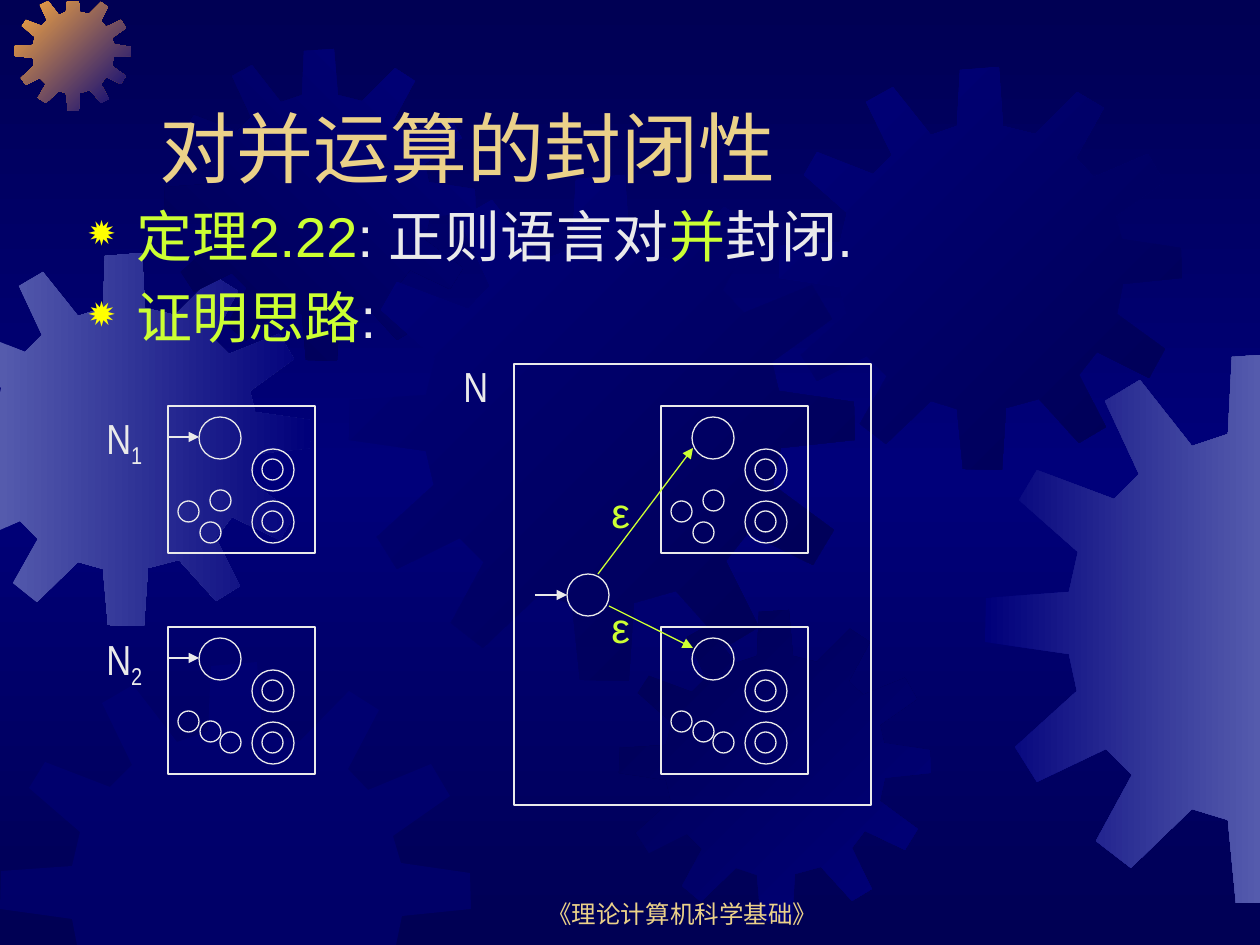
from copy import deepcopy
from dataclasses import dataclass

from lxml import etree
from pptx import Presentation
from pptx.dml.color import RGBColor
from pptx.enum.shapes import MSO_CONNECTOR, MSO_SHAPE
from pptx.enum.text import MSO_ANCHOR, PP_ALIGN
from pptx.oxml.ns import qn
from pptx.util import Emu, Pt

SCALE = 914400 / 126
RECTANGLE, ELLIPSE = MSO_SHAPE.RECTANGLE, MSO_SHAPE.OVAL
STRAIGHT = MSO_CONNECTOR.STRAIGHT
TOP, BOTTOM = MSO_ANCHOR.TOP, MSO_ANCHOR.BOTTOM
LEFT, CENTER = PP_ALIGN.LEFT, PP_ALIGN.CENTER


@dataclass(frozen=True)
class Theme:
    night: str = "000054"
    blue: str = "00007A"
    steel: str = "555BAD"
    orange: str = "FCAB40"
    gold: str = "EBD189"
    white: str = "EAEAEA"
    lime: str = "CCFF33"
    yellow: str = "FFFF00"
    font: str = "Arial"
    narrow: str = "Arial Narrow"
    title: int = 44
    body: int = 32
    label: int = 24
    footer: int = 14
    line: float = 0.75


theme = Theme()
rgb = RGBColor.from_string


def px(*values):
    """Turn px lengths into EMU."""
    return [Emu(round(value * SCALE)) for value in values]


def add_text(bounds, paragraphs, size, font=theme.font, anchor=TOP,
             align=LEFT, bullet=None, space=0):
    """Each paragraph is a list of (text, colour, baseline in percent)."""
    frame = page.shapes.add_textbox(*px(*bounds)).text_frame
    frame.word_wrap = True
    frame.vertical_anchor = anchor
    for index, spans in enumerate(paragraphs):
        para = frame.add_paragraph() if index else frame.paragraphs[0]
        para.alignment = align
        if bullet:
            props = para._p.get_or_add_pPr()
            props.set("marL", str(px(48)[0]))
            props.set("indent", str(px(-48)[0]))
            color = etree.SubElement(props, qn("a:buClr"))
            etree.SubElement(color, qn("a:srgbClr"), val=theme.yellow)
            etree.SubElement(props, qn("a:buSzPct"), val="80000")
            etree.SubElement(props, qn("a:buChar"), char=bullet)
        if index:
            para.space_before = Pt(space)
        for text, color, baseline in spans:
            span = para.add_run()
            span.text = text
            span.font.size = Pt(size)
            span.font.name = font
            span.font.color.rgb = rgb(color)
            if baseline:
                span.font._element.set("baseline", str(baseline * 1000))


deck = Presentation()
deck.slide_width, deck.slide_height = px(1260, 945)
page = deck.slides.add_slide(deck.slide_layouts[6])

# Background: dark, blue in the middle, dark
backdrop = page.background.fill
backdrop.gradient()
backdrop.gradient_angle = 270
stop_list = page.element.find(".//" + qn("a:gsLst"))
stop_list.append(deepcopy(stop_list[-1]))
for stop, position, color in zip(backdrop.gradient_stops, (0, 0.5, 1),
                                 (theme.night, theme.blue, theme.night)):
    stop.position = position
    stop.color.rgb = rgb(color)

# Gears: one outline, scaled and cut at the slide's edges
GEAR_SPAN = 401
GEAR = [
    (255, 67), (223, 59), (219, 0), (180, 3), (177, 59), (151, 68), (113, 20), (87, 35),
    (112, 88), (94, 106), (38, 85), (25, 107), (68, 145), (61, 174), (1, 178), (0, 210),
    (61, 219), (67, 246), (22, 287), (38, 312), (88, 288), (107, 307), (81, 355), (106, 375),
    (151, 332), (177, 340), (183, 400), (222, 401), (226, 339), (259, 330), (299, 374),
    (325, 358), (299, 306), (316, 284), (368, 309), (384, 281), (336, 246), (342, 216),
    (401, 210), (400, 180), (341, 171), (335, 148), (383, 114), (367, 87), (313, 109),
    (296, 91), (323, 41), (297, 25),
]
# axis, limit, side that is kept
EDGES = [(0, 0, 1), (0, 1260, -1), (1, 2, 1), (1, 945, -1)]
# left, top, size, first colour, last colour, clockwise angle
gears = [
    (-62, 253, 373, theme.steel, theme.blue, 0),
    (15, -5, 116, theme.orange, theme.blue, 45),
    (164, 49, 312, theme.night, theme.blue, 315),
    (349, 175, 506, theme.blue, theme.night, 45),
    (0, 662, 471, theme.blue, None, 0),
    (619, 610, 312, theme.night, theme.blue, 45),
    (779, 67, 403, theme.blue, theme.night, 45),
    (985, 353, 551, theme.blue, theme.steel, 0),
]
for left, top, size, first, last, angle in gears:
    ratio = size / GEAR_SPAN
    points = [(left + x * ratio, top + y * ratio) for x, y in GEAR]
    for axis, limit, side in EDGES:
        kept = []
        for start, end in zip(points[-1:] + points[:-1], points):
            before = (start[axis] - limit) * side
            after = (end[axis] - limit) * side
            if before * after < 0:
                share = before / (before - after)
                kept.append(tuple(a + (b - a) * share for a, b in zip(start, end)))
            if after >= 0:
                kept.append(end)
        points = kept
    outline = page.shapes.build_freeform(*points[0], scale=SCALE)
    outline.add_line_segments(points[1:], close=True)
    gear = outline.convert_to_shape()
    gear.shadow.inherit = False
    gear.line.fill.background()
    if last:
        gear.fill.gradient()
        gear.fill.gradient_angle = (360 - angle) % 360
        for stop, color in zip(gear.fill.gradient_stops, (first, last)):
            stop.color.rgb = rgb(color)
    else:
        gear.fill.solid()
        gear.fill.fore_color.rgb = rgb(first)
        tint = gear._element.spPr.find(".//" + qn("a:srgbClr"))
        etree.SubElement(tint, qn("a:alpha"), val="50000")

# Footer, title and body
add_text((483, 872, 399, 63), [[("《理论计算机科学基础》", theme.gold, 0)]],
         theme.footer, anchor=BOTTOM, align=CENTER)
add_text((147, 42, 1071, 157), [[("对并运算的封闭性", theme.gold, 0)]],
         theme.title, anchor=BOTTOM)
add_text((76, 195, 1071, 567), [
    [("定理2.22", theme.lime, 0), (": 正则语言对", theme.white, 0),
     ("并", theme.lime, 0), ("封闭.", theme.white, 0)],
    [("证明思路", theme.lime, 0), (":", theme.white, 0)],
], theme.body, bullet="✹", space=8)

# Automata: N1 above N2, alone on the left and inside N on the right
BOX, STATE, DOT = 147, 42, 21
dots_by_top = {406: [(42, 84), (10, 95), (32, 116)],
               627: [(32, 94), (10, 84), (52, 105)]}
outlines = [(RECTANGLE, 514, 364, 357, 441), (ELLIPSE, 567, 574, STATE, STATE)]
arrows = [(535, 595, 567, 595, theme.white),
          (598, 574, 693, 448, theme.lime),
          (609, 606, 693, 648, theme.lime)]
for left in (168, 661):
    for top, dots in dots_by_top.items():
        outlines.append((RECTANGLE, left, top, BOX, BOX))
        outlines.append((ELLIPSE, left + 31, top + 11, STATE, STATE))
        for drop in (43, 95):
            outlines.append((ELLIPSE, left + 84, top + drop, STATE, STATE))
            outlines.append((ELLIPSE, left + 94, top + drop + 10, DOT, DOT))
        for x, y in dots:
            outlines.append((ELLIPSE, left + x, top + y, DOT, DOT))
for top in dots_by_top:
    arrows.append((168, top + 31, 199, top + 31, theme.white))

for kind, *bounds in outlines:
    shape = page.shapes.add_shape(kind, *px(*bounds))
    shape.shadow.inherit = False
    shape.fill.background()
    shape.line.color.rgb = rgb(theme.white)
    shape.line.width = Pt(theme.line)

for *ends, color in arrows:
    arrow = page.shapes.add_connector(STRAIGHT, *px(*ends))
    arrow.line.color.rgb = rgb(color)
    arrow.line.width = Pt(theme.line)
    etree.SubElement(arrow.line._get_or_add_ln(), qn("a:tailEnd"), type="triangle")
    etree.SubElement(arrow._element.spPr, qn("a:effectLst"))

# Labels
for top in (480, 595):
    add_text((599, top, 63, 63), [[("ε", theme.lime, 0)]], theme.label)
add_text((451, 354, 63, 63), [[("N", theme.white, 0)]], theme.label, font=theme.narrow)
for number, top in enumerate(dots_by_top, 1):
    add_text((94, top, 63, 70), [[("N", theme.white, 0), (str(number), theme.white, -25)]],
             theme.label, font=theme.narrow)

deck.save("out.pptx")
